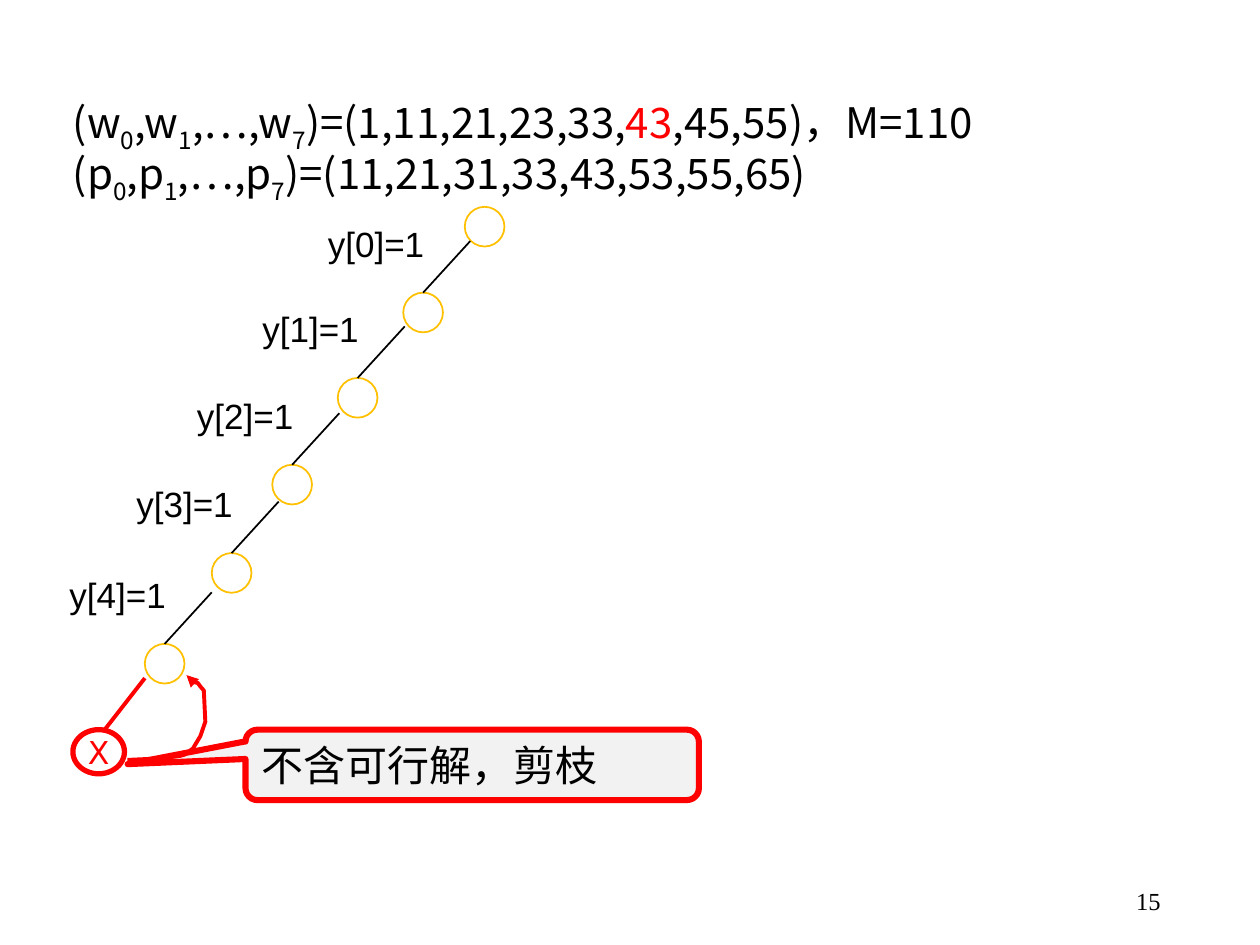
import pptx
import pptx.util
import pptx.dml.color
import pptx.enum.shapes
import pptx.enum.text
import lxml.etree
from pptx.util import Cm, Pt

KIND = pptx.enum.shapes.MSO_SHAPE
ALIGN = pptx.enum.text.PP_ALIGN
ANCHOR = pptx.enum.text.MSO_ANCHOR
BLACK, RED, GOLD, WHITE, GREY = "000000", "FF0000", "FFC000", "FFFFFF", "F2F2F2"
NS = "{http://schemas.openxmlformats.org/drawingml/2006/main}"


def color(text):
    """Return the colour for a hex string."""
    return pptx.dml.color.RGBColor.from_string(text)


def style(para, size, face, ink=BLACK, align=ALIGN.LEFT):
    """Set the font and alignment of a paragraph."""
    para.alignment = align
    para.font.size = Pt(size)
    para.font.name = face
    para.font.color.rgb = color(ink)


def text_box(slide, left, top, width, height):
    """Add a wrapping text box and return its frame."""
    frame = slide.shapes.add_textbox(Cm(left), Cm(top), Cm(width), Cm(height)).text_frame
    frame.word_wrap = True
    return frame


def solid(slide, kind, box, fill, line, weight):
    """Add a filled and outlined preset shape."""
    shape = slide.shapes.add_shape(kind, *map(Cm, box))
    shape.shadow.inherit = False
    shape.fill.solid()
    shape.fill.fore_color.rgb = color(fill)
    shape.line.color.rgb = color(line)
    shape.line.width = Pt(weight)
    return shape


def link(slide, start, end, ink, weight):
    """Add a straight connector without a shadow."""
    points = [Cm(v) for v in (*start, *end)]
    line = slide.shapes.add_connector(pptx.enum.shapes.MSO_CONNECTOR.STRAIGHT, *points)
    line.line.color.rgb = color(ink)
    line.line.width = Pt(weight)
    lxml.etree.SubElement(line._element.spPr, NS + "effectLst")
    return line


def heading(slide, left, top, width, height):
    """Write the weight and profit vectors, with subscripts after each underscore."""
    rows = [
        ["(w", "_0", ",w", "_1", ",…,w", "_7", ")=(1,11,21,23,33,", "*43", ",45,55)，M=110"],
        ["(p", "_0", ",p", "_1", ",…,p", "_7", ")=(11,21,31,33,43,53,55,65)"],
    ]
    frame = text_box(slide, left, top, width, height)
    for i, row in enumerate(rows):
        para = frame.add_paragraph() if i else frame.paragraphs[0]
        para.line_spacing = 0.8
        if i:
            para.space_before = Pt(3)
        style(para, 24, "Noto Sans CJK SC")
        for part in row:
            run = para.add_run()
            run.text = part.lstrip("_*")
            if part[0] == "_":
                run._r.get_or_add_rPr().set("baseline", "-25000")
            elif part[0] == "*":
                run.font.color.rgb = color(RED)


def node(slide, left, top):
    """Add one round tree node."""
    return solid(slide, KIND.OVAL, (left, top, 0.8, 0.8), WHITE, GOLD, 1)


def tree(slide, left, top):
    """Draw the branch of chosen items from the root at the given corner."""
    node(slide, left, top)
    steps = [(-1.24, 1.73), (-2.56, 3.45), (-3.88, 5.2), (-5.1, 6.98), (-6.45, 8.81)]
    for i, (dx, dy) in enumerate(steps):
        x, y = left + dx, top + dy
        child = node(slide, x, y)
        edge = link(slide, (x + 1.35, y - 1.04), (x + 0.4, y), BLACK, 1)
        edge.end_connect(child, 0)
        para = text_box(slide, x - 1.77, y - 1.38, 2.69, 1.02).paragraphs[0]
        para.text = f"y[{i}]=1"
        para.line_spacing = 0.8
        style(para, 20, "Arial")


def callout(slide, *box):
    """Add the callout that explains the pruning."""
    shape = solid(slide, KIND.ROUNDED_RECTANGULAR_CALLOUT, box, GREY, RED, 3.5)
    for i, value in enumerate((-0.76, -0.01, 0.17)):
        shape.adjustments[i] = value
    frame = shape.text_frame
    frame.word_wrap = True
    frame.vertical_anchor = ANCHOR.TOP
    frame.text = "不含可行解，剪枝"
    style(frame.paragraphs[0], 24, "DejaVu Sans")


def dead_end(slide, left, top):
    """Draw the rejected node, its edge and the backtracking arrow."""
    link(slide, (left + 1.45, top - 1.04), (left + 0.64, top), RED, 2.25)
    shape = solid(slide, KIND.OVAL, (left, top, 1.04, 0.89), WHITE, RED, 3)
    frame = shape.text_frame
    frame.word_wrap = False
    frame.vertical_anchor = ANCHOR.MIDDLE
    frame.text = "X"
    style(frame.paragraphs[0], 18, "DejaVu Sans", RED, ALIGN.CENTER)

    bends = [(1.1, 0.61), (1.76, 0.58), (2.16, 0.53), (2.26, 0.5), (2.42, 0.38),
             (2.57, 0.13), (2.67, -0.16), (2.64, -0.79), (2.57, -0.87),
             (2.52, -0.94), (2.31, -0.99), (2.29, -1.1)]
    spots = [(Cm(left + x), Cm(top + y)) for x, y in bends]
    pen = slide.shapes.build_freeform(*spots[0])
    pen.add_line_segments(spots[1:], close=False)
    arc = pen.convert_to_shape()
    arc.shadow.inherit = False
    arc.fill.background()
    arc.line.color.rgb = color(RED)
    arc.line.width = Pt(2.25)
    lxml.etree.SubElement(arc.line._get_or_add_ln(), NS + "tailEnd", type="triangle")


def number(slide, *box):
    """Write the slide number."""
    frame = text_box(slide, *box)
    frame.vertical_anchor = ANCHOR.MIDDLE
    frame.text = "15"
    style(frame.paragraphs[0], 14, "Times New Roman", align=ALIGN.RIGHT)


def main():
    """Build and save the slide."""
    deck = pptx.Presentation()
    deck.slide_width, deck.slide_height = Cm(25.4), Cm(19.05)
    slide = deck.slides.add_slide(deck.slide_layouts[6])
    number(slide, 17.93, 17.65, 5.72, 1.02)
    heading(slide, 1.22, 1.93, 20.75, 2.03)
    tree(slide, 9.37, 4.17)
    callout(slide, 4.95, 14.71, 9.14, 1.42)
    dead_end(slide, 1.47, 14.71)
    deck.save("out.pptx")


if __name__ == "__main__":
    main()
